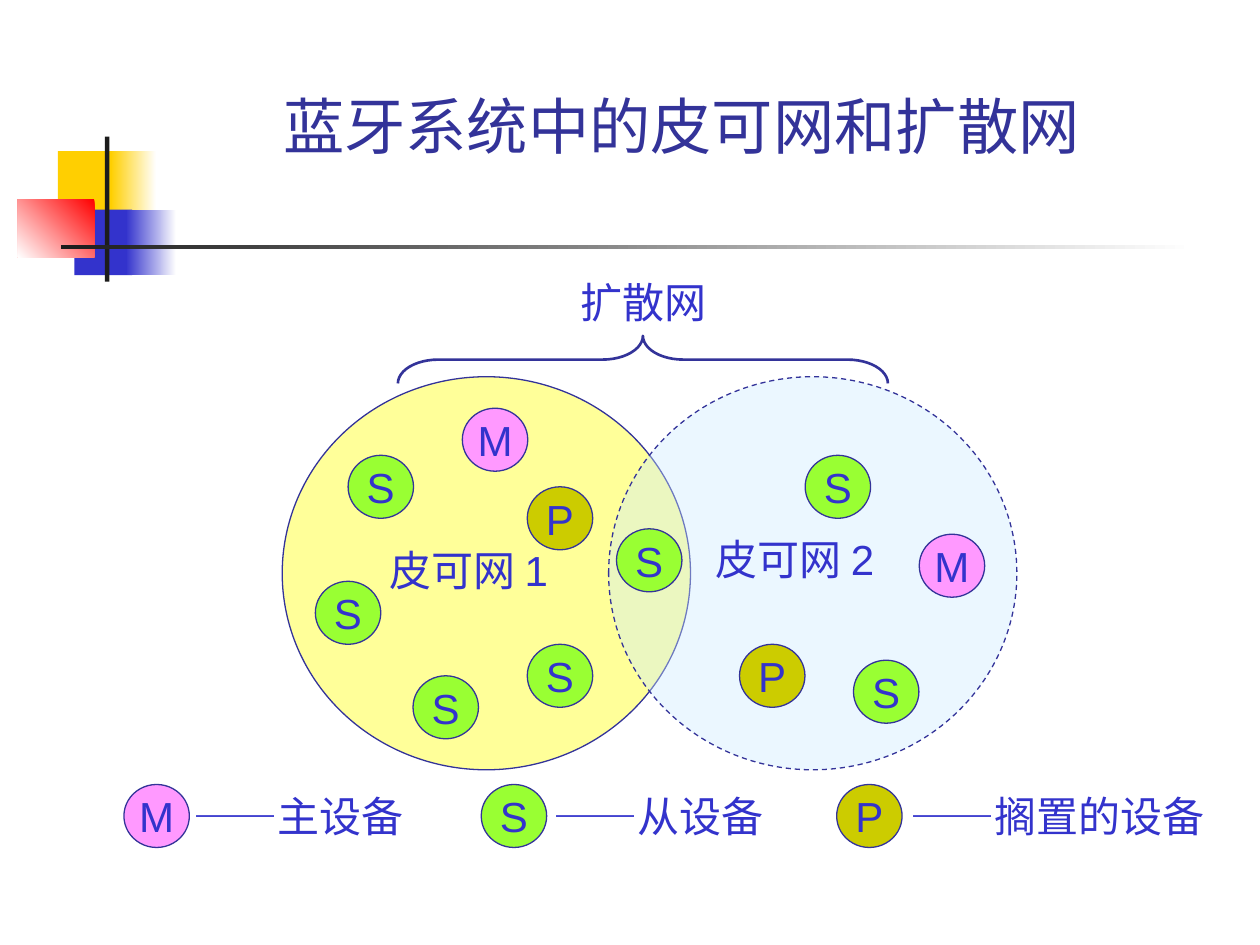
from dataclasses import dataclass

from lxml.etree import SubElement
from pptx import Presentation
from pptx.dml.color import RGBColor
from pptx.enum.dml import MSO_LINE
from pptx.enum.shapes import MSO_SHAPE
from pptx.enum.text import MSO_ANCHOR, MSO_AUTO_SIZE, PP_ALIGN
from pptx.oxml.ns import qn
from pptx.util import Pt


@dataclass(frozen=True)
class Theme:
    outline: str = "333399"
    text: str = "3333CC"
    gold: str = "FFCF01"
    blue: str = "3333CC"
    red: str = "FF0000"
    black: str = "1C1C1C"
    white: str = "FFFFFF"
    piconet_1: str = "FFFF99"
    piconet_2: str = "CCECFF"
    master: str = "FF99FF"
    slave: str = "99FF33"
    parked: str = "CCCC00"
    title_size: float = 35
    title_end_size: float = 44
    label_size: float = 24
    font: str = "Arial"
    legend_font: str = "Cabin"


class SlideBuilder:
    DEVICE_SIZE = (37.4, 36)

    def __init__(self, slide, theme):
        self.slide = slide
        self.theme = theme
        self.device_colors = {
            "M": theme.master, "S": theme.slave, "P": theme.parked}

    def add_run(self, paragraph, text, size, color, font):
        run = paragraph.add_run()
        run.text = text
        run.font.size = Pt(size)
        run.font.name = font
        run.font.color.rgb = RGBColor.from_string(color)

    def title(self, text, box):
        theme = self.theme
        heading = self.slide.shapes.title
        heading.left, heading.top, heading.width, heading.height = map(Pt, box)
        frame = heading.text_frame
        frame.auto_size = MSO_AUTO_SIZE.NONE
        frame.vertical_anchor = MSO_ANCHOR.BOTTOM
        paragraph = frame.paragraphs[0]
        paragraph.alignment = PP_ALIGN.CENTER
        for words, size in ((text, theme.title_size), (" ", theme.title_end_size)):
            self.add_run(paragraph, words, size, theme.outline, theme.font)

    def shape(self, preset, box, line_width=None):
        shape = self.slide.shapes.add_shape(preset, *map(Pt, box))
        shape.shadow.inherit = False
        if line_width is None:
            shape.line.fill.background()
        else:
            shape.line.color.rgb = RGBColor.from_string(self.theme.outline)
            shape.line.width = Pt(line_width)
        return shape

    def block(self, box, color, end_color=None, angle=180):
        """Borderless rectangle, fading to end_color when one is given."""
        fill = self.shape(MSO_SHAPE.RECTANGLE, box).fill
        if end_color is None:
            fill.solid()
            fill.fore_color.rgb = RGBColor.from_string(color)
            return
        fill.gradient()
        fill.gradient_angle = angle
        for stop, stop_color in zip(fill.gradient_stops, (color, end_color)):
            stop.color.rgb = RGBColor.from_string(stop_color)

    def circle(self, box, color, opacity=None, dash=None):
        circle = self.shape(MSO_SHAPE.OVAL, box, 0.75)
        circle.fill.solid()
        circle.fill.fore_color.rgb = RGBColor.from_string(color)
        if opacity is not None:
            solid_fill = circle._element.spPr.find(qn("a:solidFill"))
            SubElement(solid_fill[0], qn("a:alpha"), val=str(opacity * 1000))
        if dash is not None:
            circle.line.dash_style = dash
        return circle

    def device(self, role, left, top):
        circle = self.circle((left, top, *self.DEVICE_SIZE),
                             self.device_colors[role])
        frame = circle.text_frame
        frame.word_wrap = False
        frame.vertical_anchor = MSO_ANCHOR.MIDDLE
        paragraph = frame.paragraphs[0]
        paragraph.alignment = PP_ALIGN.CENTER
        self.add_run(paragraph, role, self.theme.label_size,
                     self.theme.text, self.theme.font)

    def label(self, text, left, top, width, font=None):
        box = self.slide.shapes.add_textbox(Pt(left), Pt(top), Pt(width), Pt(36))
        frame = box.text_frame
        frame.word_wrap = False
        frame.auto_size = MSO_AUTO_SIZE.SHAPE_TO_FIT_TEXT
        self.add_run(frame.paragraphs[0], text, self.theme.label_size,
                     self.theme.text, font or self.theme.font)

    def brace(self, box):
        """Brace pointing up; box is its frame before the quarter turn."""
        brace = self.shape(MSO_SHAPE.RIGHT_BRACE, box, 1.5)
        brace.fill.background()
        brace.rotation = 270
        brace.adjustments[0] = 0.85
        brace.adjustments[1] = 0.5


def draw_corner_ornament(builder):
    theme = builder.theme
    builder.block((33.1, 86.4, 34.6, 37.4), theme.gold)
    builder.block((63.4, 86.4, 25.9, 37.4), theme.white, theme.gold)
    builder.block((42.5, 119.8, 33.1, 37.4), theme.blue)
    builder.block((72, 119.8, 28.8, 37.4), theme.white, theme.blue)
    builder.block((10.1, 113.8, 43.9, 33.1), theme.red, theme.white, angle=225)
    builder.block((60, 78.1, 2.5, 82.8), theme.black)
    builder.block((34.6, 140.1, 648, 2.5), theme.white, theme.black)


def draw_networks(builder):
    theme = builder.theme
    top, width, height = 215.3, 233.3, 224.6
    builder.circle((161.3, top, width, height), theme.piconet_1)
    builder.circle((347.8, top, width, height), theme.piconet_2,
                   opacity=39, dash=MSO_LINE.DASH)
    devices = {
        "M": [(264.2, 233.3), (525.3, 305.3)],
        "S": [(180.2, 332.2), (198.9, 260.2), (352.3, 302.2), (301.3, 368.2),
              (236, 386.2), (487.7, 377.3), (460.1, 260.2)],
        "P": [(422.6, 368.2), (301.3, 278.2)],
    }
    for role, places in devices.items():
        for left, top in places:
            builder.device(role, left, top)
    builder.label("皮可网 1", 215.3, 307.4, 111)
    builder.label("皮可网 2", 401.8, 301.2, 111)
    builder.label("扩散网", 324.7, 154.5, 87)
    builder.brace((353.8, 65.5, 27.2, 280))


def draw_legend(builder):
    top = 448.3
    entries = [
        ("M", 70.8, "——主设备", 103.7, 136),
        ("S", 275, "——从设备", 309.2, 136),
        ("P", 478.1, "——搁置的设备", 513.4, 184),
    ]
    for role, device_left, meaning, meaning_left, width in entries:
        builder.device(role, device_left, top)
        builder.label(meaning, meaning_left, top, width,
                      builder.theme.legend_font)


def main():
    presentation = Presentation()
    presentation.slide_width, presentation.slide_height = Pt(720), Pt(540)
    slide = presentation.slides.add_slide(presentation.slide_layouts[5])
    builder = SlideBuilder(slide, Theme())
    draw_corner_ornament(builder)
    builder.title("蓝牙系统中的皮可网和扩散网", (87.8, 9.4, 613.4, 88.6))
    draw_networks(builder)
    draw_legend(builder)
    presentation.save("out.pptx")


if __name__ == "__main__":
    main()
